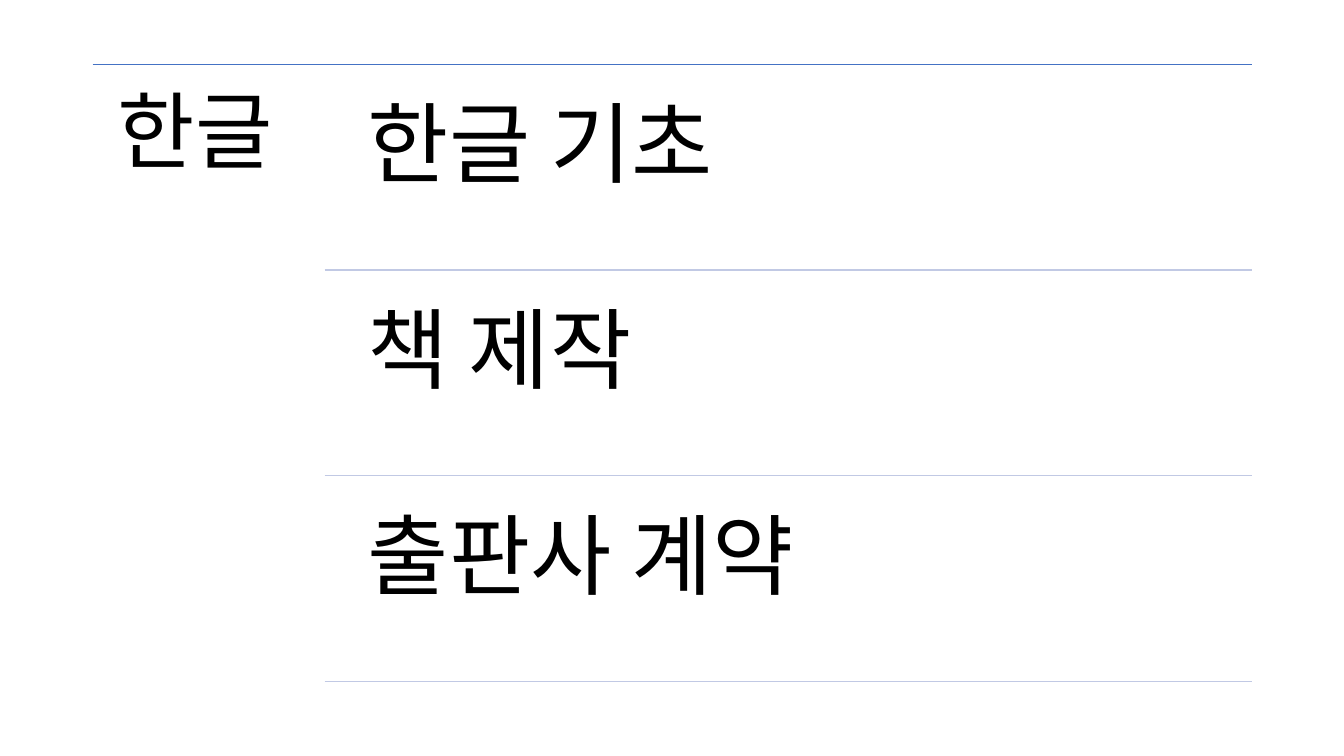
from dataclasses import dataclass

from lxml.etree import SubElement
from pptx import Presentation
from pptx.dml.color import RGBColor
from pptx.enum.shapes import MSO_CONNECTOR as Connector
from pptx.enum.text import MSO_ANCHOR as Anchor, MSO_AUTO_SIZE as AutoSize
from pptx.oxml.ns import qn
from pptx.slide import Slide
from pptx.util import Inches, Pt


@dataclass(frozen=True)
class Theme:
    font: str = "Noto Sans CJK KR"
    ink: str = "000000"
    top_rule: str = "4472C4"
    topic_rule: str = "C1C9E4"
    subject_size: int = 60
    topic_size: int = 63
    rule_width: int = 1


@dataclass(frozen=True)
class Box:
    left: float
    top: float
    width: float
    height: float


@dataclass(frozen=True)
class Topic:
    title: str
    box: Box
    rule_y: float


THEME = Theme()

# Layout in inches
LEFT, RIGHT, TOP = 0.92, 12.42, 0.64
SUBJECT_WIDTH, SUBJECT_HEIGHT = 2.3, 6.21
TOPIC_LEFT = 3.39
TOPIC_HEIGHT, TOPIC_GAP = 1.94, 0.1
PITCH = TOPIC_HEIGHT + TOPIC_GAP


def make_topic(index: int, title: str) -> Topic:
    top = TOP + TOPIC_GAP + index * PITCH
    box = Box(TOPIC_LEFT, top, RIGHT - TOPIC_LEFT, TOPIC_HEIGHT)
    return Topic(title, box, top + TOPIC_HEIGHT)


def add_text(slide: Slide, text: str, box: Box, *, size: int, inset: float) -> None:
    label = slide.shapes.add_textbox(
        Inches(box.left), Inches(box.top), Inches(box.width), Inches(box.height)
    )
    frame = label.text_frame
    frame.word_wrap = True
    frame.auto_size = AutoSize.NONE
    frame.vertical_anchor = Anchor.TOP
    frame.margin_left = frame.margin_right = Inches(inset)
    frame.margin_top = frame.margin_bottom = Inches(inset)
    paragraph = frame.paragraphs[0]
    paragraph.line_spacing = 0.9
    run = paragraph.add_run()
    run.text = text
    run.font.size = Pt(size)
    run.font.name = THEME.font
    run.font.color.rgb = RGBColor.from_string(THEME.ink)
    # Hangul takes the East Asian typeface
    SubElement(run.font._element, qn("a:ea"), typeface=THEME.font)


def add_rule(slide: Slide, left: float, y: float, color: str) -> None:
    rule = slide.shapes.add_connector(
        Connector.STRAIGHT, Inches(left), Inches(y), Inches(RIGHT), Inches(y)
    )
    rule.line.color.rgb = RGBColor.from_string(color)
    rule.line.width = Pt(THEME.rule_width)
    SubElement(rule._element.spPr, qn("a:effectLst"))


def main() -> None:
    deck = Presentation()
    deck.slide_width, deck.slide_height = Inches(13.33), Inches(7.5)
    slide = deck.slides.add_slide(deck.slide_layouts[6])

    # Subject column under the top rule
    add_rule(slide, LEFT, TOP, THEME.top_rule)
    subject_box = Box(LEFT, TOP, SUBJECT_WIDTH, SUBJECT_HEIGHT)
    add_text(slide, "한글", subject_box, size=THEME.subject_size, inset=0.25)

    # Topics, each closed by a rule
    for index, title in enumerate(("한글 기초", "책 제작", "출판사 계약")):
        topic = make_topic(index, title)
        add_text(slide, topic.title, topic.box, size=THEME.topic_size, inset=0.26)
        add_rule(slide, LEFT + SUBJECT_WIDTH, topic.rule_y, THEME.topic_rule)

    deck.save("out.pptx")


if __name__ == "__main__":
    main()
